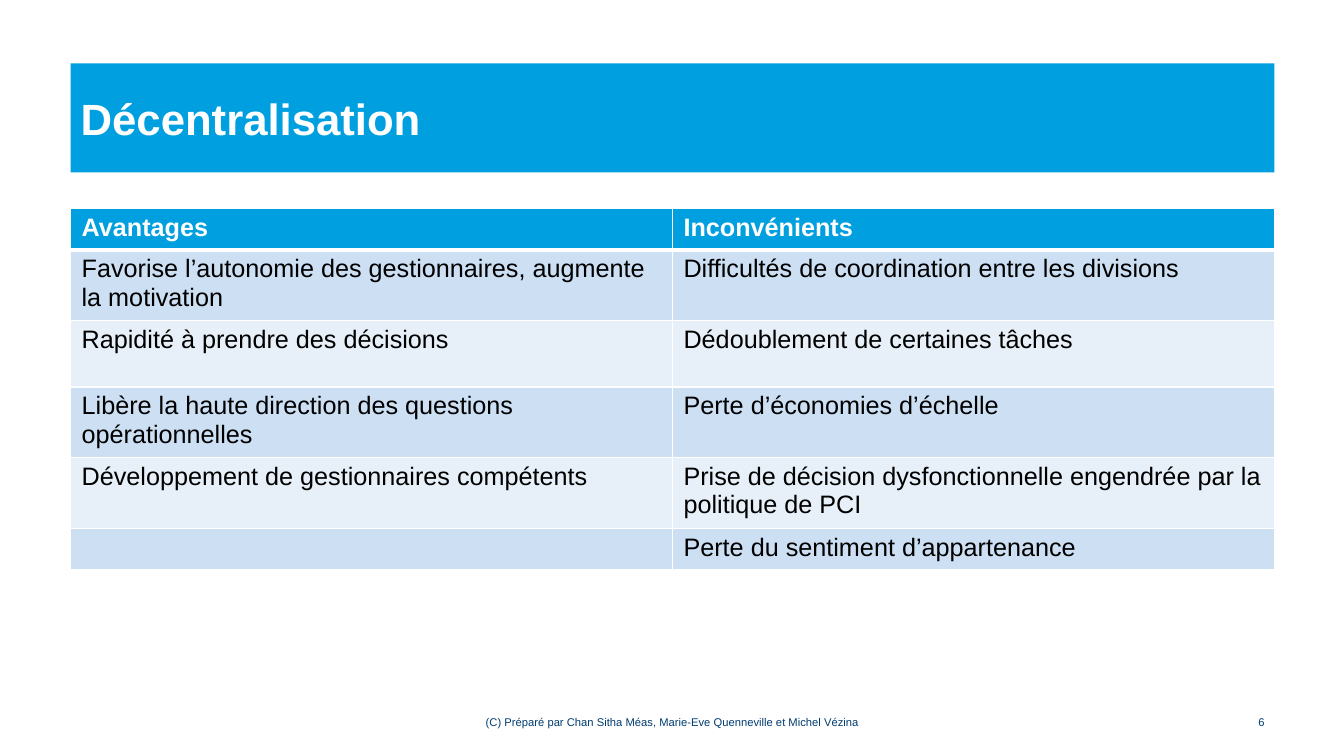
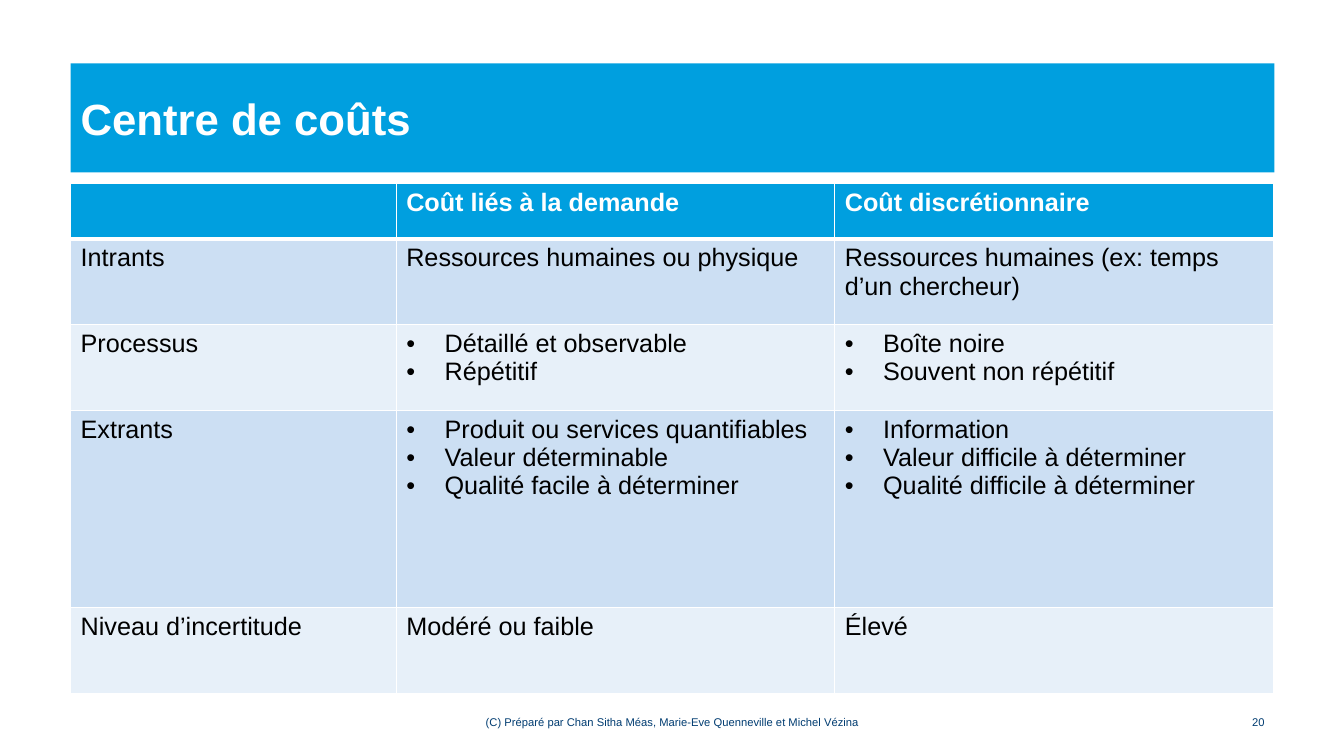
import pptx
import pptx.util
import pptx.dml.color
import pptx.enum.text
import pptx.oxml
import pptx.oxml.ns

Inches = pptx.util.Inches
Align = pptx.enum.text.PP_ALIGN
Anchor = pptx.enum.text.MSO_ANCHOR

BLUE, NAVY, WHITE, BLACK = "009FDF", "003C71", "FFFFFF", "000000"
BANDS = ("CCDFF3", "E7F0F9")
FONT = "Arial"
LEFT, WIDTH = 0.7, 11.94
CREDIT = "(C) Préparé par Chan Sitha Méas, Marie-Eve Quenneville et Michel Vézina"


def paint(fill, code):
    fill.solid()
    fill.fore_color.rgb = pptx.dml.color.RGBColor.from_string(code)


def make(tag, **attrs):
    node = pptx.oxml.parse_xml(f"<{tag} {pptx.oxml.ns.nsdecls('a')}/>")
    for key, value in attrs.items():
        node.set(key, str(value))
    return node


def dot(para):
    props = para._p.get_or_add_pPr()
    props.set("marL", str(Inches(0.38)))
    props.set("indent", str(-Inches(0.38)))
    props.append(make("a:buFont", typeface=FONT))
    props.append(make("a:buChar", char="•"))


def write(frame, text, size=18, color=BLACK, bold=False, align=Align.LEFT,
          anchor=Anchor.TOP, bullet=False):
    frame.word_wrap = True
    frame.vertical_anchor = anchor
    frame.text = text
    for para in frame.paragraphs:
        if bullet:
            dot(para)
        para.alignment = align
        for run in para.runs:
            run.font.name = FONT
            run.font.size = pptx.util.Pt(size)
            run.font.bold = bold
            paint(run.font.fill, color)


def place(shape, left, top, width, height):
    shape.left, shape.top = Inches(left), Inches(top)
    shape.width, shape.height = Inches(width), Inches(height)


def label(slide, text, left, width, align):
    box = slide.shapes.add_textbox(*map(Inches, (left, 7.07, width, 0.18)))
    frame = box.text_frame
    frame.margin_top = frame.margin_bottom = 0
    write(frame, text, size=8, color=NAVY, align=align, anchor=Anchor.MIDDLE)


def start(deck, title, page):
    slide = deck.slides.add_slide(deck.slide_layouts[5])
    head = slide.shapes.title
    place(head, LEFT, 0.63, WIDTH, 1.08)
    paint(head.fill, BLUE)
    head.text_frame.auto_size = pptx.enum.text.MSO_AUTO_SIZE.NONE
    write(head.text_frame, title, size=31.2, color=WHITE, bold=True,
          anchor=Anchor.MIDDLE)
    label(slide, CREDIT, 4.56, 4.22, Align.CENTER)
    label(slide, page, 11.96, 0.68, Align.RIGHT)
    return slide


def edge(cell, side, width):
    line = make(f"a:ln{side}", w=pptx.util.Pt(width))
    solid = make("a:solidFill")
    solid.append(make("a:srgbClr", val=WHITE))
    line.append(solid)
    cell._tc.get_or_add_tcPr().append(line)


def style(cell, row, inset):
    widths = {"L": 1, "R": 1, "T": 3 if row == 1 else 1, "B": 3 if row == 0 else 1}
    for side, width in widths.items():
        edge(cell, side, width)
    paint(cell.fill, BANDS[(row - 1) % 2] if row else BLUE)
    cell.margin_left = cell.margin_right = Inches(inset)
    cell.margin_top = cell.margin_bottom = Inches(0.05)


def grid(slide, top, cols, rows, data, inset):
    frame = slide.shapes.add_table(len(rows), len(cols), Inches(LEFT), Inches(top),
                                   Inches(WIDTH), Inches(sum(rows)))
    table = frame.table
    for col, width in zip(table.columns, cols):
        col.width = Inches(width)
    for index, (height, texts) in enumerate(zip(rows, data)):
        table.rows[index].height = Inches(height)
        for col, text in enumerate(texts):
            cell = table.cell(index, col)
            style(cell, index, inset)
            if text:
                write(cell.text_frame, text, color=BLACK if index else WHITE,
                      bold=index == 0, bullet="\n" in text)


def main():
    deck = pptx.Presentation()
    deck.slide_width, deck.slide_height = Inches(13.33), Inches(7.5)

    slide = start(deck, "Décentralisation", "6")
    grid(slide, 2.07, [WIDTH / 2] * 2, [0.41] + [0.66] * 4 + [0.41], [
        ("Avantages", "Inconvénients"),
        ("Favorise l’autonomie des gestionnaires, augmente la motivation",
         "Difficultés de coordination entre les divisions"),
        ("Rapidité à prendre des décisions", "Dédoublement de certaines tâches"),
        ("Libère la haute direction des questions opérationnelles",
         "Perte d’économies d’échelle"),
        ("Développement de gestionnaires compétents",
         "Prise de décision dysfonctionnelle engendrée par la politique de PCI"),
        ("", "Perte du sentiment d’appartenance"),
    ], 0.11)

    slide = start(deck, "Centre de coûts", "20")
    grid(slide, 1.82, [3.23, 4.35, 4.35], [0.55, 0.85, 0.85, 1.96, 0.85], [
        ("", "Coût liés à la demande", "Coût discrétionnaire"),
        ("Intrants", "Ressources humaines ou physique",
         "Ressources humaines (ex: temps d’un chercheur)"),
        ("Processus", "Détaillé et observable\nRépétitif",
         "Boîte noire\nSouvent non répétitif"),
        ("Extrants",
         "Produit ou services quantifiables\nValeur déterminable\n"
         "Qualité facile à déterminer",
         "Information\nValeur difficile à déterminer\n"
         "Qualité difficile à déterminer"),
        ("Niveau d’incertitude", "Modéré ou faible", "Élevé"),
    ], 0.1)

    deck.save("out.pptx")


if __name__ == "__main__":
    main()
